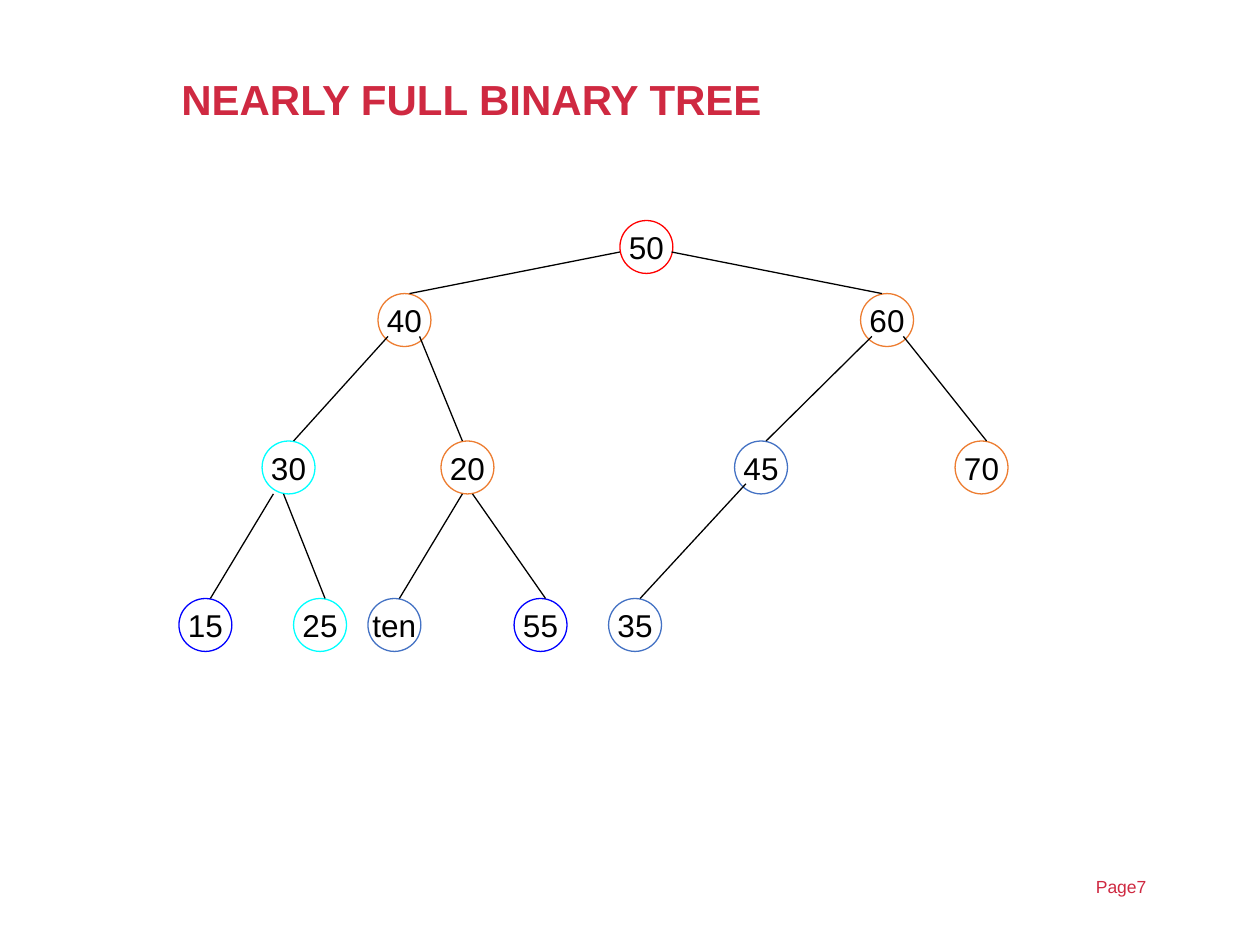
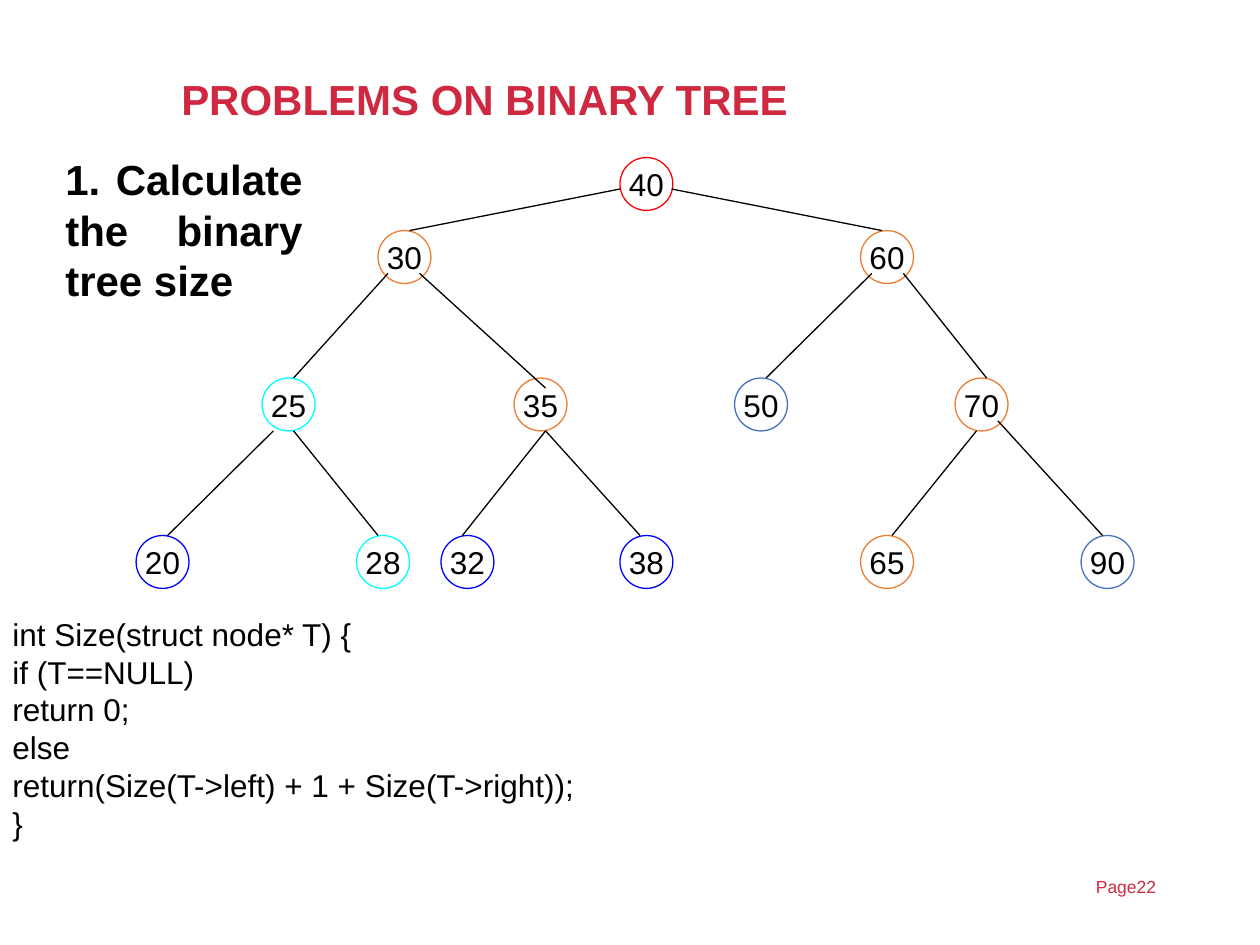
from dataclasses import dataclass
from lxml import etree
from pptx import Presentation
from pptx import util as u
from pptx.dml.color import RGBColor
from pptx.enum import shapes, text
from pptx.oxml import ns


@dataclass(frozen=True)
class Theme:
    font: str = "Arial"
    crimson: str = "CF2941"
    black: str = "000000"
    red: str = "FF0000"
    orange: str = "ED7D31"
    cyan: str = "00FFFF"
    blue: str = "0000FF"
    steel: str = "4472C4"
    heading: int = 24
    body: int = 18
    footer: int = 10
    stroke: float = 0.75


theme = Theme()
NODE_SIZE = 0.42
LEVEL_TOPS = [0, 0.58, 1.75, 3]
BRANCH_STARTS = [0.25, 0.92, 2.17]


def write(frame, lines, size, color=theme.black, bold=False,
          align=text.PP_ALIGN.LEFT, anchor=text.MSO_ANCHOR.TOP, wrap=True):
    frame.word_wrap = wrap
    frame.vertical_anchor = anchor
    for index, line in enumerate(lines):
        paragraph = frame.add_paragraph() if index else frame.paragraphs[0]
        paragraph.alignment = align
        run = paragraph.add_run()
        run.text = line
        run.font.name = theme.font
        run.font.size = u.Pt(size)
        run.font.bold = bold
        run.font.color.rgb = RGBColor.from_string(color)


def add_text(slide, box, lines, size, **style):
    frame = slide.shapes.add_textbox(*map(u.Inches, box)).text_frame
    write(frame, lines, size, **style)
    return frame


nearly_full = {
    "title": "NEARLY FULL BINARY TREE",
    "page": "Page7",
    "top": 1.75,
    "levels": [
        [("50", 4.92, theme.red)],
        [("40", 3, theme.orange), ("60", 6.83, theme.orange)],
        [("30", 2.08, theme.cyan), ("20", 3.5, theme.orange),
         ("45", 5.83, theme.steel), ("70", 7.58, theme.orange)],
        [("15", 1.42, theme.blue), ("25", 2.33, theme.cyan), ("ten", 2.92, theme.steel),
         ("55", 4.08, theme.blue), ("35", 4.83, theme.steel)],
    ],
    "branches": [
        [(4.92, 3.25, 0, 0), (5.33, 7, 0, 0)],
        [(3.08, 2.33, 0, 0), (3.33, 3.67, 0, 0), (6.92, 6.08, 0, 0), (7.17, 7.83, 0, 0)],
        [(2.17, 1.67, 0, 0), (2.25, 2.58, 0, 0), (3.67, 3.17, 0, 0),
         (3.75, 4.33, 0, 0), (5.92, 5.08, -0.08, 0)],
    ],
}
size_problem = {
    "title": "PROBLEMS ON BINARY TREE",
    "page": "Page22",
    "top": 1.25,
    "levels": [
        [("40", 4.92, theme.red)],
        [("30", 3, theme.orange), ("60", 6.83, theme.orange)],
        [("25", 2.08, theme.cyan), ("35", 4.08, theme.orange),
         ("50", 5.83, theme.steel), ("70", 7.58, theme.orange)],
        [("20", 1.08, theme.blue), ("28", 2.83, theme.cyan), ("32", 3.5, theme.blue),
         ("38", 4.92, theme.blue), ("65", 6.83, theme.orange), ("90", 8.58, theme.steel)],
    ],
    "branches": [
        [(4.92, 3.25, 0, 0), (5.33, 7, 0, 0)],
        [(3.08, 2.33, 0, 0), (3.33, 4.33, 0, 0.08), (6.92, 6.08, 0, 0), (7.17, 7.83, 0, 0)],
        [(2.17, 1.33, 0, 0), (2.33, 3, 0, 0), (4.33, 3.67, 0, 0), (4.33, 5.08, 0, 0),
         (7.75, 7.08, 0, 0), (7.92, 8.75, -0.08, 0)],
    ],
}

deck = Presentation()
deck.slide_width = u.Inches(10)
deck.slide_height = u.Inches(7.5)

for tree in (nearly_full, size_problem):
    slide = deck.slides.add_slide(deck.slide_layouts[6])
    heading = add_text(slide, (1.34, 0.4, 7.98, 0.82), [tree["title"]], theme.heading,
                       color=theme.crimson, bold=True, anchor=text.MSO_ANCHOR.MIDDLE)
    heading.paragraphs[0].line_spacing = 0.9
    add_text(slide, (8.6, 6.9, 1.2, 0.28), [tree["page"]], theme.footer, color=theme.crimson)

    for level_top, nodes in zip(LEVEL_TOPS, tree["levels"]):
        for value, left, color in nodes:
            node = slide.shapes.add_shape(
                shapes.MSO_SHAPE.OVAL, u.Inches(left), u.Inches(tree["top"] + level_top),
                u.Inches(NODE_SIZE), u.Inches(NODE_SIZE))
            node.shadow.inherit = False
            node.fill.background()
            node.line.color.rgb = RGBColor.from_string(color)
            node.line.width = u.Pt(theme.stroke)
            write(node.text_frame, [value], theme.body, align=text.PP_ALIGN.CENTER,
                  anchor=text.MSO_ANCHOR.MIDDLE, wrap=False)

    for start, end, branches in zip(BRANCH_STARTS, LEVEL_TOPS[1:], tree["branches"]):
        for parent_x, child_x, start_shift, end_shift in branches:
            branch = slide.shapes.add_connector(
                shapes.MSO_CONNECTOR.STRAIGHT,
                u.Inches(parent_x), u.Inches(tree["top"] + start + start_shift),
                u.Inches(child_x), u.Inches(tree["top"] + end + end_shift))
            branch.line.color.rgb = RGBColor.from_string(theme.black)
            branch.line.width = u.Pt(theme.stroke)
            etree.SubElement(branch._element.spPr, ns.qn("a:effectLst"))

add_text(slide, (0.42, 1.17, 2.08, 1.31), ["1. Calculate the binary tree size"],
         theme.heading, bold=True, align=text.PP_ALIGN.JUSTIFY)
add_text(slide, (0, 4.83, 10, 1.92), [
    "int Size(struct node* T) {",
    "if (T==NULL)",
    "return 0;",
    "else",
    "return(Size(T->left) + 1 + Size(T->right));",
    "}",
], theme.body)

deck.save("out.pptx")
